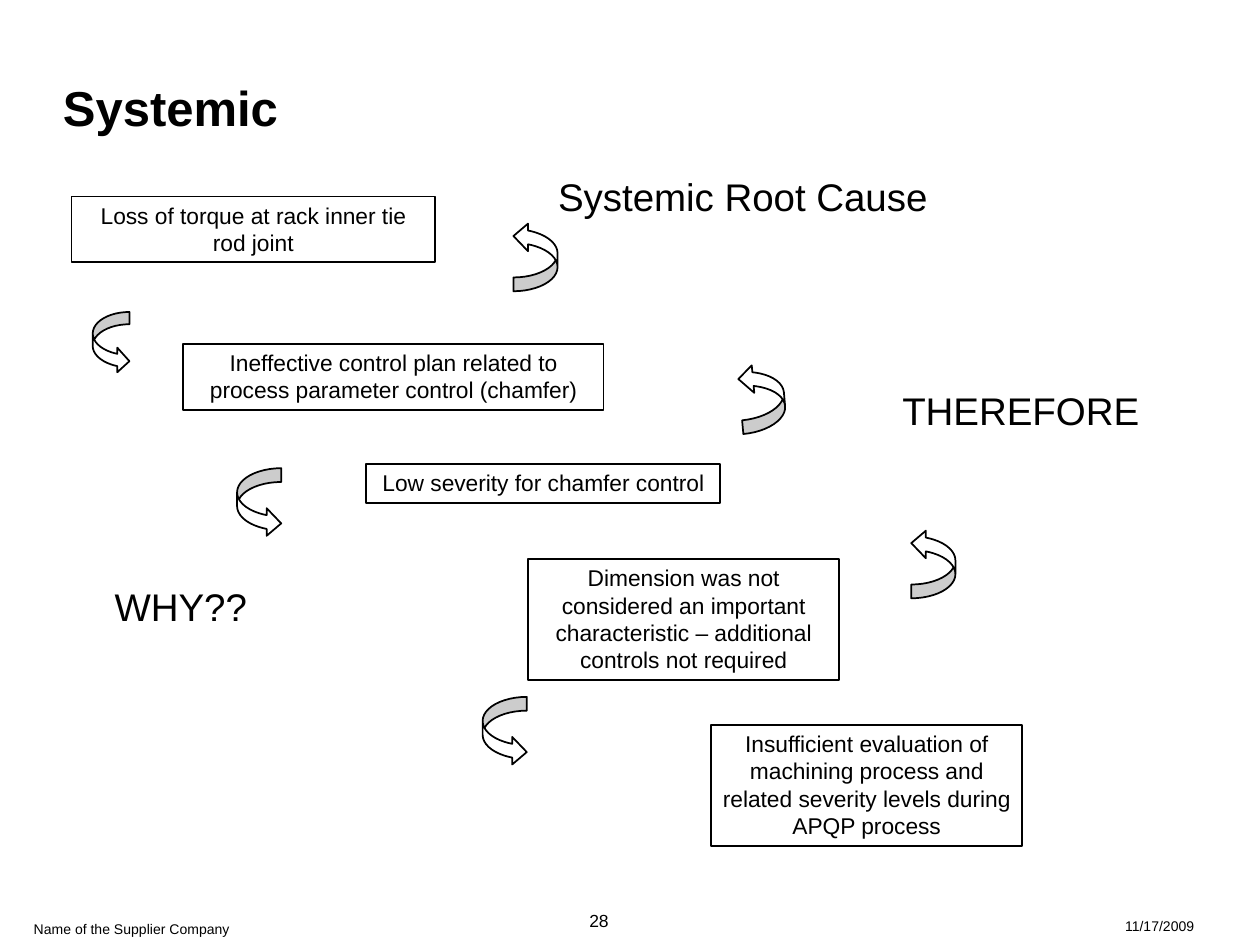
import pptx
import pptx.dml.color
import pptx.enum.shapes
import pptx.enum.text
import pptx.util

Cm = pptx.util.Cm
Pt = pptx.util.Pt
Align = pptx.enum.text.PP_ALIGN
Anchor = pptx.enum.text.MSO_ANCHOR
Kind = pptx.enum.shapes.MSO_SHAPE

FONT = "Arial"
BLACK, WHITE = "000000", "FFFFFF"

# left, top, width, height in cm
CAUSES = [
    ("Loss of torque at rack inner tie rod joint", 1.44, 3.96, 7.33, 1.33),
    ("Ineffective control plan related to process parameter control (chamfer)",
     3.69, 6.93, 8.48, 1.33),
    ("Low severity for chamfer control", 7.38, 9.35, 7.14, 0.79),
    ("Dimension was not considered an important characteristic "
     "– additional controls not required", 10.64, 11.27, 6.28, 2.44),
    ("Insufficient evaluation of machining process and related severity "
     "levels during APQP process", 14.33, 14.61, 6.28, 2.44),
]

# left, top, width, height in cm, then the turn in degrees
ARROWS = [
    (1.87, 6.29, 0.74, 1.24, 0),
    (4.78, 9.44, 0.89, 1.39, 0),
    (9.73, 14.05, 0.89, 1.39, 0),
    (10.35, 4.48, 0.89, 1.39, 180),
    (14.92, 7.32, 0.89, 1.39, 174.8),
    (18.37, 10.67, 0.89, 1.39, 180),
]

LABELS = [
    ("Systemic Root Cause", 10.62, 3.38, 8.71, Align.CENTER),
    ("THEREFORE", 17.96, 7.7, 6.93, Align.LEFT),
    ("WHY??", 1.32, 11.66, 4.65, Align.CENTER),
]

FOOTERS = [
    ("Name of the Supplier Company", 0.43, 18.42, 11, 8),
    ("28", 11.63, 18.21, 1.7, 10),
    ("11/17/2009", 22.43, 18.36, 2.9, 8),
]


def paint(hue):
    return pptx.dml.color.RGBColor.from_string(hue)


def write(shape, text, size, align=Align.LEFT, bold=False,
          pad=(0.23, 0.1), anchor=Anchor.TOP):
    """Set the text of a shape; pad is the side and the top inset in cm."""
    frame = shape.text_frame
    frame.word_wrap = True
    frame.vertical_anchor = anchor
    frame.margin_left = frame.margin_right = Cm(pad[0])
    frame.margin_top = frame.margin_bottom = Cm(pad[1])
    para = frame.paragraphs[0]
    para.alignment = align
    run = para.add_run()
    run.text = text
    run.font.name = FONT
    run.font.size = Pt(size)
    run.font.bold = bold
    run.font.color.rgb = paint(BLACK)


def add_text(slide, box, text, size, **style):
    write(slide.shapes.add_textbox(*map(Cm, box)), text, size, **style)


def add_form(slide, kind, box):
    """Add a preset shape with a thin black outline."""
    shape = slide.shapes.add_shape(kind, *map(Cm, box))
    shape.shadow.inherit = False
    shape.line.color.rgb = paint(BLACK)
    shape.line.width = Pt(1)
    return shape


def add_cause(slide, text, *box):
    shape = add_form(slide, Kind.RECTANGLE, box)
    shape.fill.background()
    write(shape, text, 13, align=Align.CENTER)


def add_arrow(slide, left, top, width, height, turn):
    """Add a curved arrow whose band is a fifth of its height."""
    shape = add_form(slide, Kind.CURVED_RIGHT_ARROW, (left, top, width, height))
    shape.fill.solid()
    shape.fill.fore_color.rgb = paint(WHITE)
    shape.rotation = turn
    band = 0.2 * height / width
    for index, value in enumerate((band, 2 * band, 0.33)):
        shape.adjustments[index] = value


def main():
    deck = pptx.Presentation()
    deck.slide_width, deck.slide_height = Cm(25.4), Cm(19.05)
    slide = deck.slides.add_slide(deck.slide_layouts[6])

    for text, left, top, width, size in FOOTERS:
        add_text(slide, (left, top, width, 0.6), text, size, pad=(0.25, 0.13))
    add_text(slide, (1.27, 0.2, 16.51, 2.54), "Systemic", 28,
             bold=True, pad=(0, 0), anchor=Anchor.BOTTOM)
    for cause in CAUSES:
        add_cause(slide, *cause)
    for arrow in ARROWS:
        add_arrow(slide, *arrow)
    for text, left, top, width, align in LABELS:
        add_text(slide, (left, top, width, 1.17), text, 22, align=align)

    deck.save("out.pptx")


if __name__ == "__main__":
    main()
